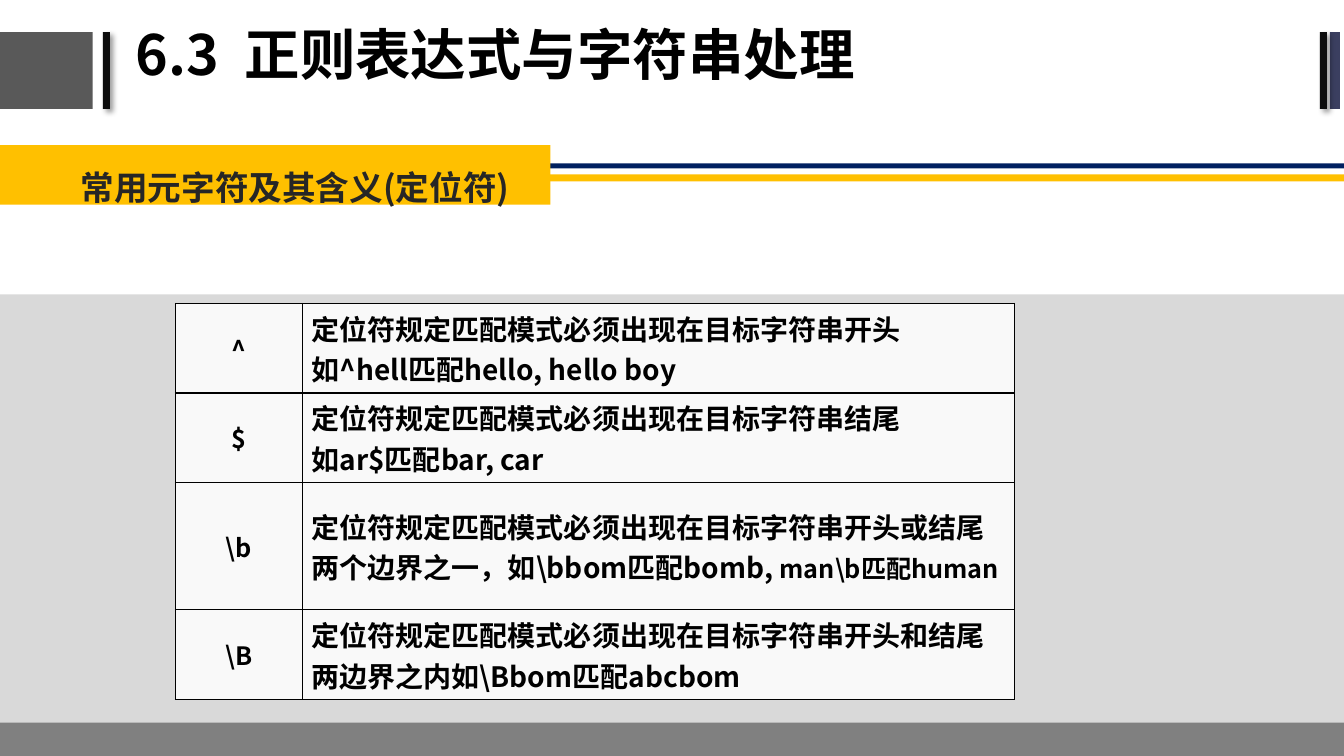
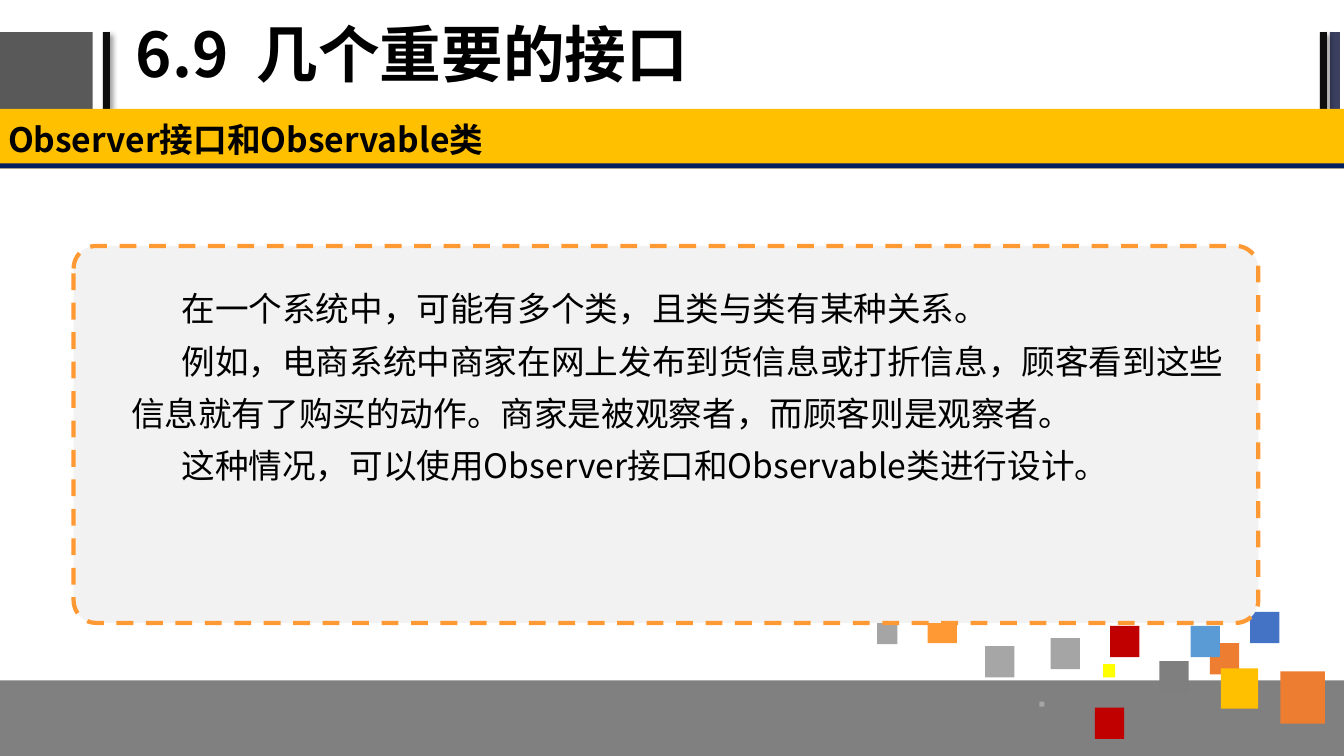
from lxml import etree
from pptx import Presentation
from pptx.dml.color import RGBColor
from pptx.enum import dml, shapes, text
from pptx.oxml.ns import qn
from pptx.util import Inches, Pt

FONT = "Noto Sans CJK SC"
BLACK, NAVY, GOLD, ORANGE = "000000", "002060", "FFC000", "FF9933"
GREY, PANEL, CELL, CARD = "808080", "D9D9D9", "F9F9F9", "F2F2F2"
SLIDE_W, SLIDE_H = 13.33, 7.5
TEXT_INSETS = (0.13, 0.07)
MIDDLE = text.MSO_ANCHOR.MIDDLE
TWO_LINES, THREE_LINES = 0.89, 1.26

# symbol, row height, paragraphs of (words, size)
ANCHORS = [
    ("^", TWO_LINES, [[("定位符规定匹配模式必须出现在目标字符串开头", 20)],
                      [("如^hell匹配hello, hello boy", 20)]]),
    ("$", TWO_LINES, [[("定位符规定匹配模式必须出现在目标字符串结尾", 20)],
                      [("如ar$匹配bar, car", 20)]]),
    ("\\b", THREE_LINES, [[("定位符规定匹配模式必须出现在目标字符串开头或结尾"
                            "两个边界之一，如\\bbom匹配bomb, ", 20),
                           ("man\\b匹配human", 18)]]),
    ("\\B", TWO_LINES, [[("定位符规定匹配模式必须出现在目标字符串开头和结尾"
                          "两边界之内如\\Bbom匹配abcbom", 20)]]),
]

OBSERVER_TEXT = [
    "在一个系统中，可能有多个类，且类与类有某种关系。",
    "例如，电商系统中商家在网上发布到货信息或打折信息，顾客看到这些信息就有了"
    "购买的动作。商家是被观察者，而顾客则是观察者。",
    "这种情况，可以使用Observer接口和Observable类进行设计。",
]

# left, top, width, height, colour
SQUARES = [
    (12.7, 6.66, 0.44, 0.52, "ED7D31"),
    (12, 6.38, 0.29, 0.31, "ED7D31"),
    (12.11, 6.63, 0.37, 0.4, GOLD),
    (11.81, 6.21, 0.29, 0.31, "5B9BD5"),
    (10.31, 6.96, 0.05, 0.05, "A5A5A5"),
    (12.4, 6.07, 0.29, 0.31, "4472C4"),
    (10.94, 6.59, 0.12, 0.13, "FFFF00"),
    (10.42, 6.33, 0.29, 0.31, "A5A5A5"),
    (11.01, 6.21, 0.29, 0.31, "C00000"),
    (11.5, 6.56, 0.29, 0.31, "7F7F7F"),
    (10.86, 7.02, 0.29, 0.31, "C00000"),
    (8.7, 6.18, 0.2, 0.21, "A5A5A5"),
    (9.2, 6.07, 0.29, 0.31, ORANGE),
    (9.77, 6.41, 0.29, 0.31, "A6A6A6"),
]


def rgb(color):
    return RGBColor.from_string(color)


def add_box(slide, x, y, w, h, fill, kind=shapes.MSO_SHAPE.RECTANGLE):
    sp = slide.shapes.add_shape(kind, Inches(x), Inches(y), Inches(w), Inches(h))
    sp.shadow.inherit = False
    sp.fill.solid()
    sp.fill.fore_color.rgb = rgb(fill)
    sp.line.fill.background()
    return sp


def add_shadow(sp):
    effects = sp._element.spPr.find(qn("a:effectLst"))
    shadow = etree.SubElement(effects, qn("a:outerShdw"), blurRad=str(Pt(4)),
                              dist=str(Pt(3)), dir=str(45 * 60000),
                              algn="tl", rotWithShape="0")
    color = etree.SubElement(shadow, qn("a:srgbClr"), val=BLACK)
    etree.SubElement(color, qn("a:alpha"), val="40000")


def style(p, size, bold=False, color=BLACK, align=text.PP_ALIGN.LEFT, spacing=None):
    p.alignment = align
    p.line_spacing = spacing
    p.font.size, p.font.bold, p.font.name = Pt(size), bold, FONT
    p.font.color.rgb = rgb(color)
    defaults = p._p.get_or_add_pPr().find(qn("a:defRPr"))
    etree.SubElement(defaults, qn("a:ea"), typeface=FONT)


def indent_first_line(p, inches):
    p._p.get_or_add_pPr().set("indent", str(Inches(inches)))


def frame(sp, insets, anchor=text.MSO_ANCHOR.TOP):
    """Set wrapping, insets and anchor, and return the text frame."""
    tf = sp.text_frame
    tf.word_wrap = True
    tf.vertical_anchor = anchor
    tf.margin_left = tf.margin_right = Inches(insets[0])
    tf.margin_top = tf.margin_bottom = Inches(insets[1])
    return tf


def add_text(slide, x, y, w, h, lines, insets=TEXT_INSETS,
             anchor=text.MSO_ANCHOR.TOP, **look):
    sp = slide.shapes.add_textbox(Inches(x), Inches(y), Inches(w), Inches(h))
    tf = frame(sp, insets, anchor)
    tf.text = "\n".join(lines)
    for p in tf.paragraphs:
        style(p, **look)
    return tf


def add_base(prs, title, size):
    """Add a slide with the side bars, title and footer band."""
    slide = prs.slides.add_slide(prs.slide_layouts[6])
    top, height = 0.32, 0.76
    add_box(slide, 0, top, 0.92, height, "595959")
    add_shadow(add_box(slide, 1.02, top, 0.07, height, "0D0D0D"))
    add_box(slide, 13.19, top, 0.1, height, "3B3F60")
    add_shadow(add_box(slide, 13.09, top, 0.07, height, "0D0D0D"))
    add_text(slide, 1.25, 0.02, 8.47, 1.1, [title], insets=(0.1, 0.05),
             anchor=MIDDLE, size=size, bold=True, spacing=0.9)
    add_box(slide, 0, 6.75, SLIDE_W, SLIDE_H - 6.75, GREY)
    return slide


def add_rule(slide):
    add_box(slide, 0, 1.62, SLIDE_W, 0.05, NAVY)


def set_borders(cell):
    tc_pr = cell._tc.get_or_add_tcPr()
    for i, side in enumerate(("a:lnL", "a:lnR", "a:lnT", "a:lnB")):
        ln = etree.Element(qn(side), w=str(Pt(1)))
        fill = etree.SubElement(ln, qn("a:solidFill"))
        etree.SubElement(fill, qn("a:srgbClr"), val=BLACK)
        tc_pr.insert(i, ln)


def fill_cell(cell, paragraphs, size, align):
    cell.fill.solid()
    cell.fill.fore_color.rgb = rgb(CELL)
    cell.vertical_anchor = MIDDLE
    cell.margin_left = cell.margin_right = Inches(0.09)
    cell.margin_top = cell.margin_bottom = Inches(0.04)
    set_borders(cell)
    tf = cell.text_frame
    for i, runs in enumerate(paragraphs):
        p = tf.add_paragraph() if i else tf.paragraphs[0]
        style(p, size, bold=True, align=align)
        for words, run_size in runs:
            r = p.add_run()
            r.text = words
            if run_size != size:
                r.font.size = Pt(run_size)


def add_anchor_table(slide):
    widths = (1.26, 7.06)
    total_h = sum(height for _, height, _ in ANCHORS)
    table = slide.shapes.add_table(
        len(ANCHORS), len(widths), Inches(1.74), Inches(3.01),
        Inches(sum(widths)), Inches(total_h)).table
    table.first_row = table.horz_banding = False
    for column, width in zip(table.columns, widths):
        column.width = Inches(width)
    for i, (symbol, height, meaning) in enumerate(ANCHORS):
        table.rows[i].height = Inches(height)
        fill_cell(table.cell(i, 0), [[(symbol, 18)]], 18, text.PP_ALIGN.CENTER)
        fill_cell(table.cell(i, 1), meaning, 20, text.PP_ALIGN.LEFT)


def add_regex_slide(prs):
    slide = add_base(prs, "6.3  正则表达式与字符串处理", 39.6)
    add_rule(slide)
    add_box(slide, 0, 2.92, SLIDE_W, 4.25, PANEL)
    add_box(slide, 2.13, 1.73, SLIDE_W - 2.13, 0.07, GOLD)
    add_box(slide, 0, 1.44, 5.46, 0.59, GOLD)
    tf = add_text(slide, 0.67, 1.39, 5.5, 0.67, ["常用元字符及其含义(定位符)"],
                  size=24, bold=True, color="262626", spacing=1.5)
    tf.paragraphs[0].space_before = Pt(5)
    add_anchor_table(slide)


def add_observer_slide(prs):
    slide = add_base(prs, "6.9  几个重要的接口", 44)
    for square in SQUARES:
        add_box(slide, *square)
    band = add_box(slide, 0, 1.08, SLIDE_W, 0.59, GOLD)
    tf = frame(band, (0.08, 0.07), MIDDLE)
    tf.text = "Observer接口和Observable类"
    style(tf.paragraphs[0], 24, bold=True)
    add_rule(slide)
    card = add_box(slide, 0.73, 2.44, 11.75, 3.74, CARD,
                   shapes.MSO_SHAPE.ROUNDED_RECTANGLE)
    card.adjustments[0] = 0.06
    card.line.color.rgb = rgb(ORANGE)
    card.line.width = Pt(3)
    card.line.dash_style = dml.MSO_LINE.DASH
    tf = add_text(slide, 1.17, 2.67, 11.12, 3.17, OBSERVER_TEXT,
                  size=24, spacing=1.3)
    for p in tf.paragraphs:
        indent_first_line(p, 0.5)


def main():
    prs = Presentation()
    prs.slide_width, prs.slide_height = Inches(SLIDE_W), Inches(SLIDE_H)
    add_regex_slide(prs)
    add_observer_slide(prs)
    prs.save("out.pptx")


if __name__ == "__main__":
    main()
